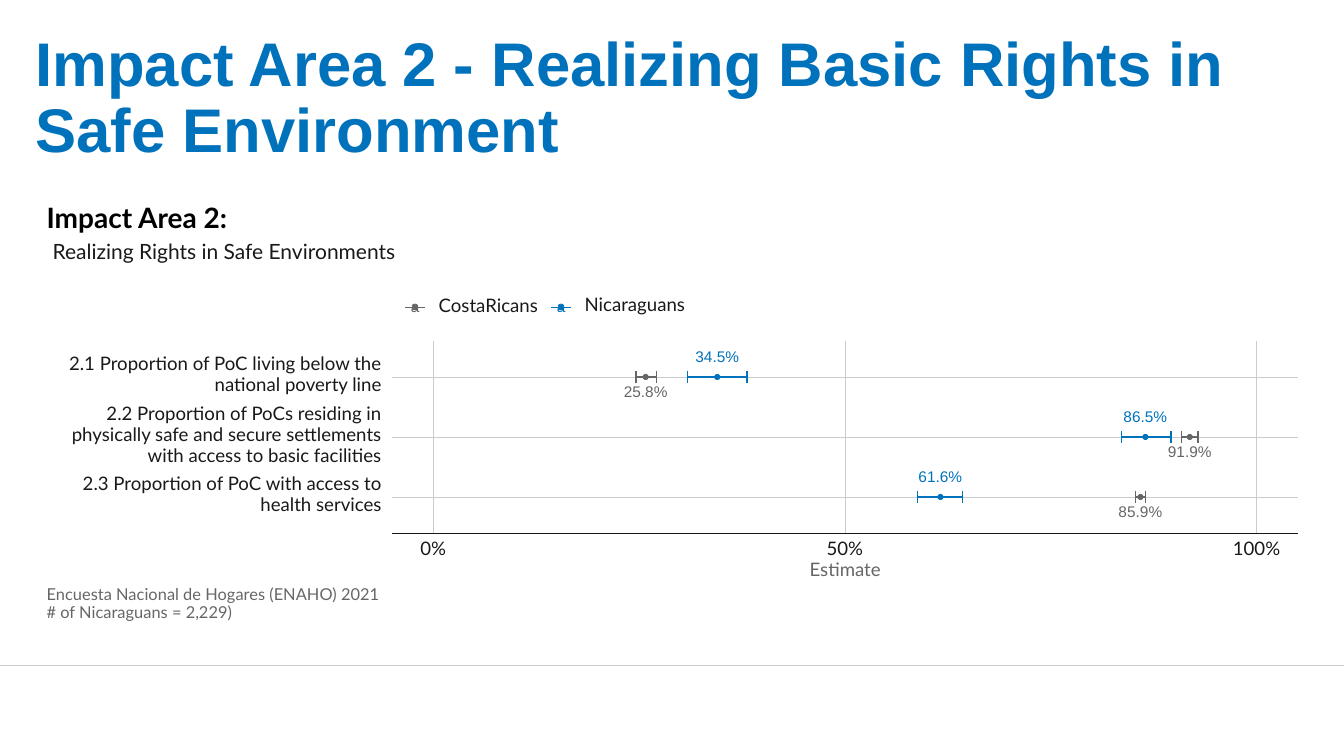
from dataclasses import dataclass

from lxml import etree
from pptx import Presentation
from pptx.dml.color import RGBColor
from pptx.enum.shapes import MSO_CONNECTOR as CONN, MSO_SHAPE as SHAPE
from pptx.enum.text import MSO_ANCHOR as ANCHOR, PP_ALIGN as ALIGN
from pptx.oxml.ns import qn
from pptx.util import Inches, Pt

PX = 914400 / 100.8


@dataclass(frozen=True)
class Theme:
    blue: str = "0072BC"
    gray: str = "666666"
    ink: str = "191919"
    black: str = "000000"
    white: str = "FFFFFF"
    grid: str = "CCCCCC"
    title: float = 44
    heading: float = 20
    subheading: float = 15
    label: float = 13.3
    source: float = 11.7
    value: float = 11
    head_font: str = "Arial"
    body_font: str = "Lato"


T = Theme()

# Plot geometry in pixels
LEFT, RIGHT, TOP, BOTTOM = 392, 1298, 341, 533.4
ZERO_X, PER_POINT = 433.2, 8.23
ROW_Y, ROW_STEP, LINE_STEP = 377, 60, 21
CAP = 6

# Lines of each indicator name, with their widths
INDICATORS = [
    [("2.1 Proportion of PoC living below the", 314), ("national poverty line", 168)],
    [("2.2 Proportion of PoCs residing in", 277),
     ("physically safe and secure settlements", 312),
     ("with access to basic facilities", 234)],
    [("2.3 Proportion of PoC with access to", 301), ("health services", 122)],
]

# Colour, label offset, and (low, estimate, high) per indicator
SERIES = [
    (T.blue, -19, [(30.9, 34.5, 38.1), (83.6, 86.5, 89.6), (58.8, 61.6, 64.3)]),
    (T.gray, 16, [(24.6, 25.8, 27.1), (90.9, 91.9, 92.9), (85.3, 85.9, 86.5)]),
]


def px(n):
    return round(n * PX)


def rgb(color):
    return RGBColor.from_string(color)


def x_of(value):
    return ZERO_X + PER_POINT * value


def y_of(row):
    return ROW_Y + ROW_STEP * row


def add_text(shapes, text, x, y, w, h, *, size=T.label, color=T.ink, font=T.body_font,
             bold=False, align=ALIGN.LEFT, anchor=ANCHOR.MIDDLE, wrap=False,
             inset=(0, 0), spacing=None):
    sp = shapes.add_textbox(px(x), px(y), px(w), px(h))
    tf = sp.text_frame
    tf.word_wrap = wrap
    tf.vertical_anchor = anchor
    tf.margin_left = tf.margin_right = px(inset[0])
    tf.margin_top = tf.margin_bottom = px(inset[1])
    p = tf.paragraphs[0]
    p.alignment = align
    p.line_spacing = spacing or Pt(size)
    r = p.add_run()
    r.text = text
    r.font.size, r.font.name, r.font.bold = Pt(size), font, bold
    r.font.color.rgb = rgb(color)


def centered_text(shapes, text, cx, cy, w, h, **fmt):
    add_text(shapes, text, cx - w / 2, cy - h / 2, w, h, align=ALIGN.CENTER, **fmt)


def add_line(shapes, x1, y1, x2, y2, color, width):
    c = shapes.add_connector(CONN.STRAIGHT, px(x1), px(y1), px(x2), px(y2))
    c.line.color.rgb = rgb(color)
    c.line.width = Pt(width)
    etree.SubElement(c._element.spPr, qn("a:effectLst"))


def add_solid(shapes, kind, x, y, w, h, color, line_width):
    sp = shapes.add_shape(kind, px(x), px(y), px(w), px(h))
    sp.shadow.inherit = False
    sp.fill.solid()
    sp.fill.fore_color.rgb = rgb(color)
    sp.line.color.rgb = rgb(color)
    sp.line.width = Pt(line_width)


def add_dot(shapes, cx, cy, color):
    add_solid(shapes, SHAPE.OVAL, cx - 2.5, cy - 2.5, 5, 5, color, 0.71)


def add_interval(shapes, low, high, y, color):
    x1, x2 = x_of(low), x_of(high)
    add_line(shapes, x1, y, x2, y, color, 1.07)
    for x in (x1, x2):
        add_line(shapes, x, y - CAP, x, y + CAP, color, 1.07)


def add_gridlines(shapes):
    for row in range(len(INDICATORS)):
        add_line(shapes, LEFT, y_of(row), RIGHT, y_of(row), T.grid, 0.53)
    for tick in (0, 50, 100):
        add_line(shapes, x_of(tick), BOTTOM, x_of(tick), TOP, T.grid, 0.53)


def add_estimates(shapes):
    for color, offset, values in SERIES:
        for row, (low, estimate, high) in enumerate(values):
            x, y = x_of(estimate), y_of(row)
            add_dot(shapes, x, y, color)
            add_interval(shapes, low, high, y, color)
            centered_text(shapes, f"{estimate}%", x, y + offset, 48, 12,
                          size=T.value, color=color, font=T.head_font)


def add_indicator_names(shapes):
    for row, lines in enumerate(INDICATORS):
        first = y_of(row) - 1.4 - LINE_STEP * (len(lines) - 1) / 2
        for i, (text, w) in enumerate(lines):
            add_text(shapes, text, 381.6 - w, first + LINE_STEP * i - 8.5, w, 17,
                     align=ALIGN.RIGHT)


def add_axis(shapes):
    add_line(shapes, LEFT, BOTTOM, RIGHT, BOTTOM, T.ink, 1.07)
    for tick, w in ((0, 30), (50, 42), (100, 54)):
        centered_text(shapes, f"{tick}%", x_of(tick), 550, w, 14)
    centered_text(shapes, "Estimate", (LEFT + RIGHT) / 2, 571, 76, 14, color=T.gray)


def add_legend_entry(shapes, name, x, y, w, color):
    add_dot(shapes, x, 307.4, color)
    add_line(shapes, x - 10, 307.4, x + 10, 307.4, color, 1.07)
    centered_text(shapes, "a", x, 308, 10, 8, size=T.value, color=color, font=T.head_font)
    add_text(shapes, name, x + 23.5, y, w, 14)


def main():
    prs = Presentation()
    prs.slide_width, prs.slide_height = Inches(13.33), Inches(7.5)
    s = prs.slides.add_slide(prs.slide_layouts[6])

    # Footer rule and title
    add_line(s.shapes, 0, 665.5, 1344, 665.5, T.grid, 0.75)
    add_text(s.shapes, "Impact Area 2 - Realizing Basic Rights in Safe Environment",
             25.4, 25, 1293, 146, size=T.title, color=T.blue, font=T.head_font, bold=True,
             anchor=ANCHOR.BOTTOM, wrap=True, inset=(10, 5), spacing=0.9)

    # Interval plot
    plot = s.shapes.add_group_shape().shapes
    add_solid(plot, SHAPE.RECTANGLE, 25, 192, 1293, 454, T.white, 0.75)
    add_gridlines(plot)
    add_estimates(plot)
    add_indicator_names(plot)
    add_axis(plot)

    # Legend
    add_legend_entry(plot, "CostaRicans", 415, 300, 104, T.gray)
    add_legend_entry(plot, "Nicaraguans", 561, 299, 105, T.blue)

    # Plot heading and source
    add_text(plot, "Realizing Rights in Safe Environments", 52.6, 244, 350, 19,
             size=T.subheading)
    add_text(plot, "Impact Area 2:", 46.6, 208, 186, 25, size=T.heading,
             color=T.black, bold=True)
    source = [("Encuesta Nacional de Hogares (ENAHO) 2021", 340),
              ("# of Nicaraguans = 2,229)", 194)]
    for i, (text, w) in enumerate(source):
        add_text(plot, text, 46.6, 588 + 18 * i, w, 16, size=T.source, color=T.gray)

    prs.save("out.pptx")


main()
